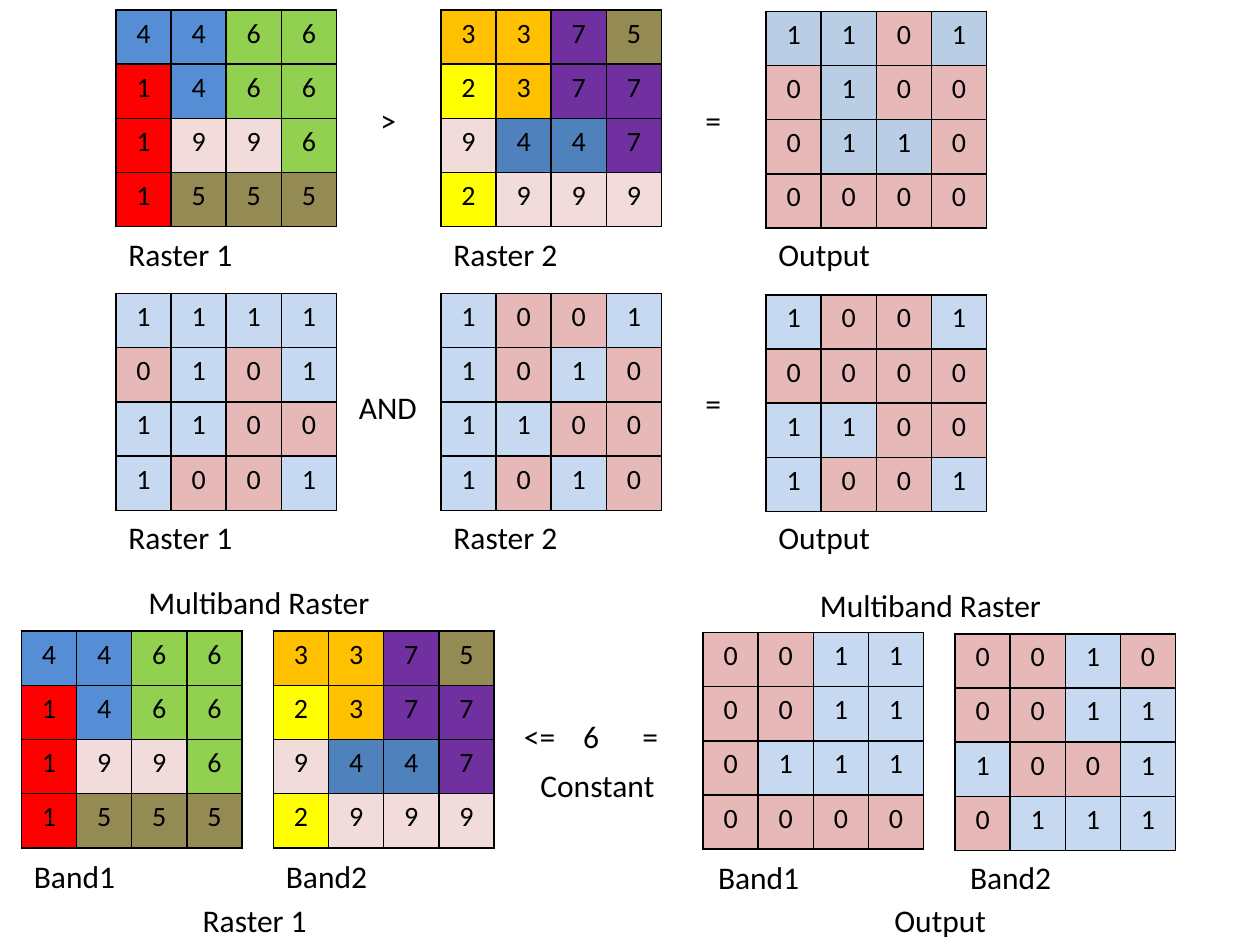
from typing import NamedTuple

import pptx
import pptx.dml.color
import pptx.enum.text
import pptx.oxml
import pptx.oxml.ns
import pptx.util
from pptx.util import Inches

COLORS = {
    "text": "000000", "border": "000000",
    "blue": "558ED5", "steel": "4F81BD", "green": "92D050", "red": "FF0000",
    "orange": "FFC000", "yellow": "FFFF00", "purple": "7030A0",
    "olive": "948A54", "blush": "F2DCDB",
    "true": "C6D9F1", "true_dark": "B9CDE5", "false": "E6B9B8",
}
FONT = "Calibri"
GRID_SIZE = 4
CELL_WIDTH, CELL_HEIGHT = 1.75 / GRID_SIZE, 0.43
LABEL_HEIGHT = 0.4

# Colour names by cell value
CLASSES_1 = {"1": "red", "4": "blue", "5": "olive", "6": "green", "9": "blush"}
CLASSES_2 = {"2": "yellow", "3": "orange", "4": "steel", "5": "olive",
             "7": "purple", "9": "blush"}
LOGICAL = {"0": "false", "1": "true"}
LOGICAL_DARK = {"0": "false", "1": "true_dark"}

VALUES_1 = "4466 1466 1996 1555"
VALUES_2 = "3375 2377 9447 2999"


class Raster(NamedTuple):
    left: float
    top: float
    values: str
    palette: dict[str, str]


class Label(NamedTuple):
    text: str
    left: float
    top: float
    width: float
    wrap: bool = True


RASTERS = [
    Raster(0.92, 0.08, VALUES_1, CLASSES_1),
    Raster(3.5, 0.08, VALUES_2, CLASSES_2),
    Raster(6.08, 0.09, "1101 0100 0110 0000", LOGICAL_DARK),
    Raster(0.92, 2.33, "1111 0101 1100 1001", LOGICAL),
    Raster(3.5, 2.33, "1001 1010 1100 1010", LOGICAL),
    Raster(6.08, 2.34, "1001 0000 1100 1001", LOGICAL),
    Raster(0.17, 5.01, VALUES_1, CLASSES_1),
    Raster(2.17, 5.01, VALUES_2, CLASSES_2),
    Raster(5.58, 5.02, "0011 0011 0111 0000", LOGICAL),
    Raster(7.58, 5.03, "0010 0011 1001 0111", LOGICAL),
]

OPERATORS = [
    Label(">", 2.92, 0.75, 0.33, wrap=False),
    Label("=", 5.5, 0.75, 0.33, wrap=False),
    Label("AND", 2.75, 3.03, 0.67, wrap=False),
    Label("=", 5.5, 3, 0.33, wrap=False),
    Label("<=", 4.06, 5.64, 0.52),
    Label("6", 4.53, 5.64, 0.33, wrap=False),
    Label("=", 5, 5.64, 0.33, wrap=False),
    Label("Constant", 4.19, 6.03, 1.22),
]

RASTER_CAPTIONS = [
    Label(text, left, top, 1.67)
    for top in (1.82, 4.06)
    for text, left in (("Raster 1", 0.92), ("Raster 2", 3.5), ("Output", 6.08))
]

MULTIBAND_CAPTIONS = [
    Label("Multiband Raster", 1.08, 4.58, 2.5),
    Label("Multiband Raster", 6.41, 4.6, 2.5),
    Label("Band1", 0.17, 6.75, 0.91),
    Label("Band2", 2.17, 6.75, 0.91),
    Label("Band1", 5.6, 6.76, 0.91),
    Label("Band2", 7.6, 6.76, 0.91),
    Label("Raster 1", 1.51, 7.1, 1.08),
    Label("Output", 7, 7.1, 1.08),
]


def rgb(name: str) -> pptx.dml.color.RGBColor:
    return pptx.dml.color.RGBColor.from_string(COLORS[name])


def format_text(text_frame, size: int) -> None:
    for paragraph in text_frame.paragraphs:
        for run in paragraph.runs:
            run.font.name = FONT
            run.font.size = pptx.util.Pt(size)
            run.font.color.rgb = rgb("text")


def add_borders(cell) -> None:
    """Outline all four sides; call before filling, as the schema puts lines first."""
    properties = cell._tc.get_or_add_tcPr()
    for side in ("lnL", "lnR", "lnT", "lnB"):
        properties.append(pptx.oxml.parse_xml(
            f'<a:{side} {pptx.oxml.ns.nsdecls("a")} w="{pptx.util.Pt(1)}">'
            f'<a:solidFill><a:srgbClr val="{COLORS["border"]}"/></a:solidFill>'
            f'</a:{side}>'))


def add_raster(slide, raster: Raster) -> None:
    table = slide.shapes.add_table(
        GRID_SIZE, GRID_SIZE, Inches(raster.left), Inches(raster.top),
        Inches(CELL_WIDTH * GRID_SIZE), Inches(CELL_HEIGHT * GRID_SIZE)).table
    table.first_row = False
    table.horz_banding = False
    for column in table.columns:
        column.width = Inches(CELL_WIDTH)
    for row, row_values in zip(table.rows, raster.values.split()):
        row.height = Inches(CELL_HEIGHT)
        for cell, value in zip(row.cells, row_values):
            cell.text_frame.text = value
            cell.text_frame.paragraphs[0].alignment = pptx.enum.text.PP_ALIGN.CENTER
            format_text(cell.text_frame, 16)
            add_borders(cell)
            cell.fill.solid()
            cell.fill.fore_color.rgb = rgb(raster.palette[value])


def add_label(slide, label: Label) -> None:
    text_frame = slide.shapes.add_textbox(
        Inches(label.left), Inches(label.top),
        Inches(label.width), Inches(LABEL_HEIGHT)).text_frame
    text_frame.word_wrap = label.wrap
    text_frame.auto_size = pptx.enum.text.MSO_AUTO_SIZE.SHAPE_TO_FIT_TEXT
    text_frame.text = label.text
    format_text(text_frame, 18)


def main() -> None:
    presentation = pptx.Presentation()
    presentation.slide_width = Inches(10)
    presentation.slide_height = Inches(7.5)
    slide = presentation.slides.add_slide(presentation.slide_layouts[6])
    for raster in RASTERS:
        add_raster(slide, raster)
    for label in OPERATORS + RASTER_CAPTIONS + MULTIBAND_CAPTIONS:
        add_label(slide, label)
    presentation.save("out.pptx")


if __name__ == "__main__":
    main()
